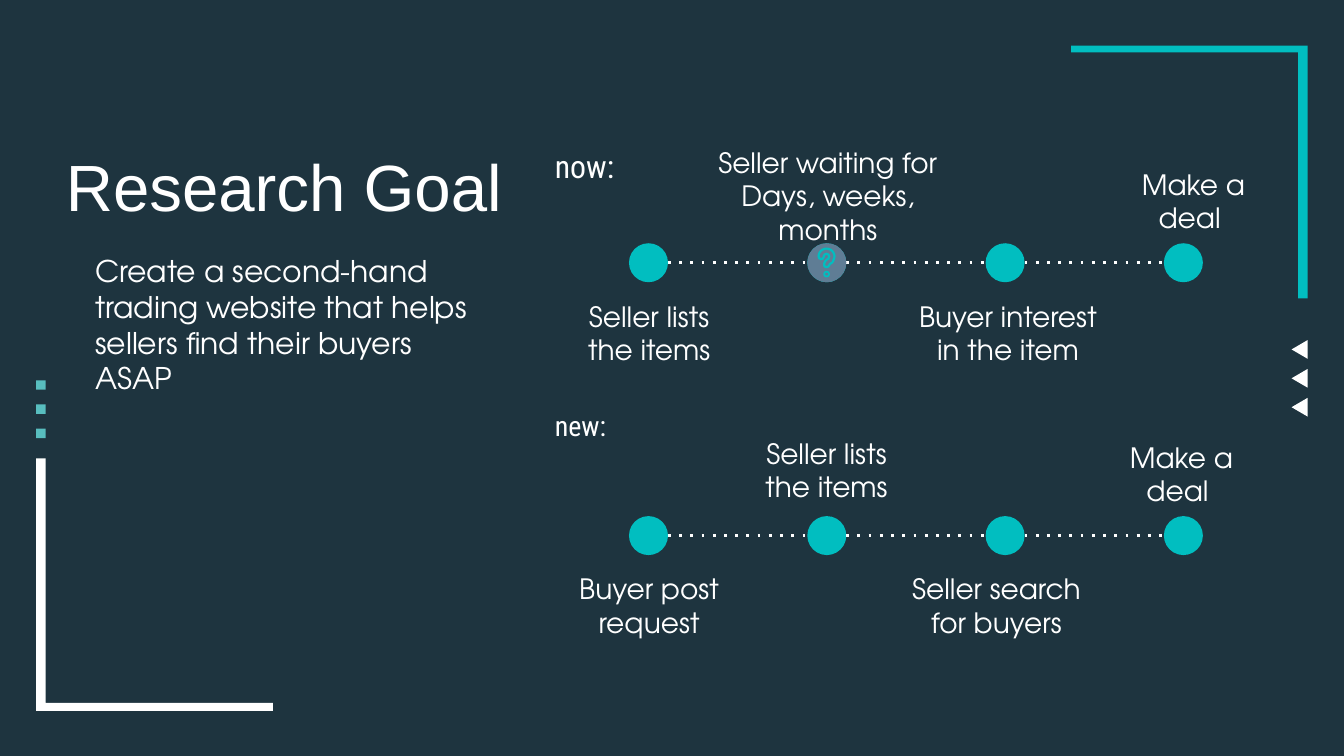
from math import cos, pi, sin

from lxml.etree import SubElement
from pptx import Presentation
from pptx.dml.color import RGBColor
from pptx.enum.shapes import MSO_CONNECTOR, MSO_SHAPE
from pptx.enum.text import MSO_ANCHOR, MSO_AUTO_SIZE, PP_ALIGN
from pptx.oxml.ns import qn
from pptx.util import Inches, Pt

NAVY = RGBColor(0x1E, 0x34, 0x3F)
WHITE = RGBColor(0xFF, 0xFF, 0xFF)
TEAL = RGBColor(0x01, 0xBE, 0xC0)
SOFT_TEAL = RGBColor(0x58, 0xBE, 0xBF)
SLATE = RGBColor(0x5F, 0x7D, 0x95)
BODY_FONT = "TeX Gyre Adventor"
LABEL_FONT = "Roboto Condensed"

deck = Presentation()
deck.slide_width = Inches(10)
deck.slide_height = deck.slide_width * 9 // 16
page = deck.slides.add_slide(deck.slide_layouts[5])
page.background.fill.solid()
page.background.fill.fore_color.rgb = NAVY
shapes = page.shapes


def add_filled(kind, left, top, width, height, color):
    shape = shapes.add_shape(kind, Inches(left), Inches(top), Inches(width), Inches(height))
    shape.shadow.inherit = False
    shape.fill.solid()
    shape.fill.fore_color.rgb = color
    shape.line.fill.background()


def write(box, place, text, size, font, align=PP_ALIGN.LEFT, anchor=MSO_ANCHOR.TOP):
    box.left, box.top, box.width, box.height = [Inches(value) for value in place]
    frame = box.text_frame
    frame.text = text
    frame.word_wrap = True
    frame.auto_size = MSO_AUTO_SIZE.NONE
    frame.vertical_anchor = anchor
    frame.margin_left = frame.margin_right = Inches(0.1)
    frame.margin_top = frame.margin_bottom = Inches(0.1)
    for para in frame.paragraphs:
        para.alignment = align
        for span in para.runs:
            span.font.size = Pt(size)
            span.font.name = font
            span.font.color.rgb = WHITE


# Side markers: three triangles and three squares
for index in range(3):
    add_filled(MSO_SHAPE.ISOSCELES_TRIANGLE, 9.6, 2.54 + 0.215 * index, 0.14, 0.12, WHITE)
    shapes[-1].rotation = 270
    add_filled(MSO_SHAPE.RECTANGLE, 0.27, 2.83 + 0.18 * index, 0.07, 0.07, SOFT_TEAL)

# Corner brackets
brackets = [
    (TEAL, [(7.97, 0.34), (7.97, 0.39), (9.66, 0.39), (9.66, 2.22), (9.73, 2.22), (9.73, 0.34)]),
    (WHITE, [(0.27, 3.41), (0.27, 5.29), (2.03, 5.29), (2.03, 5.23), (0.34, 5.23), (0.34, 3.41)]),
]
for color, corners in brackets:
    points = [(Inches(x), Inches(y)) for x, y in corners]
    builder = shapes.build_freeform(*points[0])
    builder.add_line_segments(points[1:], close=True)
    bracket = builder.convert_to_shape()
    bracket.shadow.inherit = False
    bracket.fill.solid()
    bracket.fill.fore_color.rgb = color
    bracket.line.fill.background()

# Title and goal
write(shapes.title, (0.39, 0.99, 3.8, 0.68), "Research Goal", 35, "Arial")
goal = "Create a second-hand trading website that helps sellers find their buyers ASAP"
write(shapes.add_textbox(0, 0, 0, 0), (0.61, 1.78, 3.15, 3.18), goal, 16, BODY_FONT)

# Two timelines: dot top, heading with its box and size, step labels with their boxes
DOT = 0.29
FIRST_DOT, LAST_DOT = 4.68, 8.66
STEP = (LAST_DOT - FIRST_DOT) / 3
timelines = [
    (1.81, "now:", (4.03, 0.99, 0.81, 0.38), 17, [
        ("Seller lists the items", (4.19, 2.22, 1.28, 0.51)),
        ("Seller waiting for\nDays, weeks, months", (5.06, 1.28, 2.2, 0.35)),
        ("Buyer interest in the item", (6.66, 2.22, 1.68, 0.51)),
        ("Make a deal ", (8.17, 1.32, 1.42, 0.35)),
    ]),
    (3.84, "new:", (4.03, 2.94, 0.73, 0.38), 15, [
        ("Buyer post request", (4.19, 4.25, 1.28, 0.51)),
        ("Seller lists the items", (5.51, 3.32, 1.28, 0.35)),
        ("Seller search for buyers", (6.66, 4.25, 1.51, 0.51)),
        ("Make a deal ", (8.08, 3.35, 1.42, 0.35)),
    ]),
]
for dot_top, heading, heading_place, heading_size, labels in timelines:
    write(shapes.add_textbox(0, 0, 0, 0), heading_place, heading, heading_size, LABEL_FONT)
    middle = Inches(dot_top + DOT / 2)
    for index, (label, place) in enumerate(labels):
        left = FIRST_DOT + STEP * index
        add_filled(MSO_SHAPE.OVAL, left, dot_top, DOT, DOT, TEAL)
        write(shapes.add_textbox(0, 0, 0, 0), place, label, 15, BODY_FONT,
              PP_ALIGN.CENTER, MSO_ANCHOR.MIDDLE)
        if index < len(labels) - 1:
            link = shapes.add_connector(MSO_CONNECTOR.STRAIGHT, Inches(left + DOT), middle,
                                        Inches(left + STEP), middle)
            link.line.color.rgb = WHITE
            link.line.width = Pt(1.5)
            SubElement(link.line._get_or_add_ln(), qn("a:prstDash")).set("val", "dot")
            SubElement(link._element.spPr, qn("a:effectLst"))

# Question badge on the waiting step: a hook and a point, each outlined in teal
add_filled(MSO_SHAPE.OVAL, FIRST_DOT + STEP, 1.81, DOT, DOT, SLATE)
hook = [(6.15 - 0.04 * cos(pi * step / 12), 1.91 - 0.04 * sin(pi * step / 12)) for step in range(13)]
hook += [(6.18, 1.94), (6.16, 1.95), (6.15, 1.97)]
points = [(Inches(x), Inches(y)) for x, y in hook]
for color, stroke, point_size in [(TEAL, 4, 0.05), (SLATE, 1.5, 0.02)]:
    builder = shapes.build_freeform(*points[0])
    builder.add_line_segments(points[1:], close=False)
    curve = builder.convert_to_shape()
    curve.shadow.inherit = False
    curve.fill.background()
    curve.line.color.rgb = color
    curve.line.width = Pt(stroke)
    curve.line._get_or_add_ln().set("cap", "rnd")
    add_filled(MSO_SHAPE.OVAL, 6.15 - point_size / 2, 2.04 - point_size / 2,
               point_size, point_size, color)

deck.save("out.pptx")
